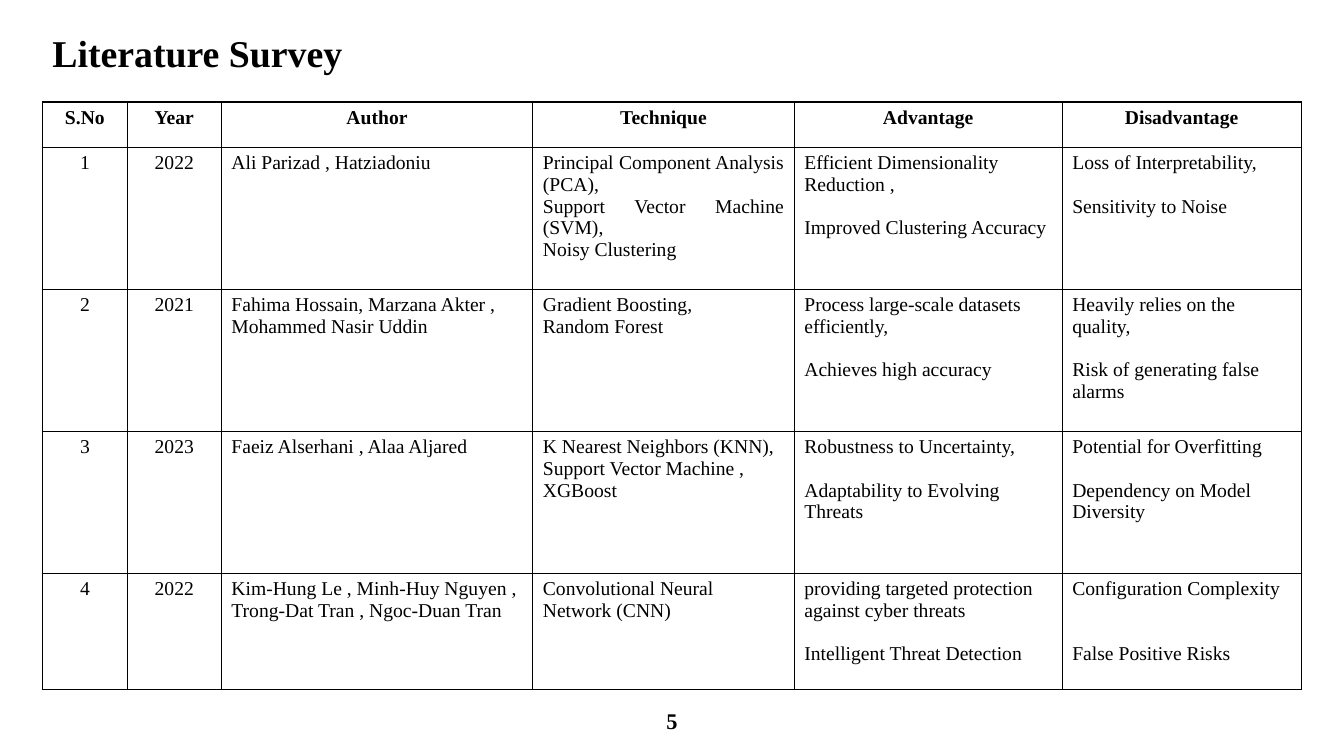
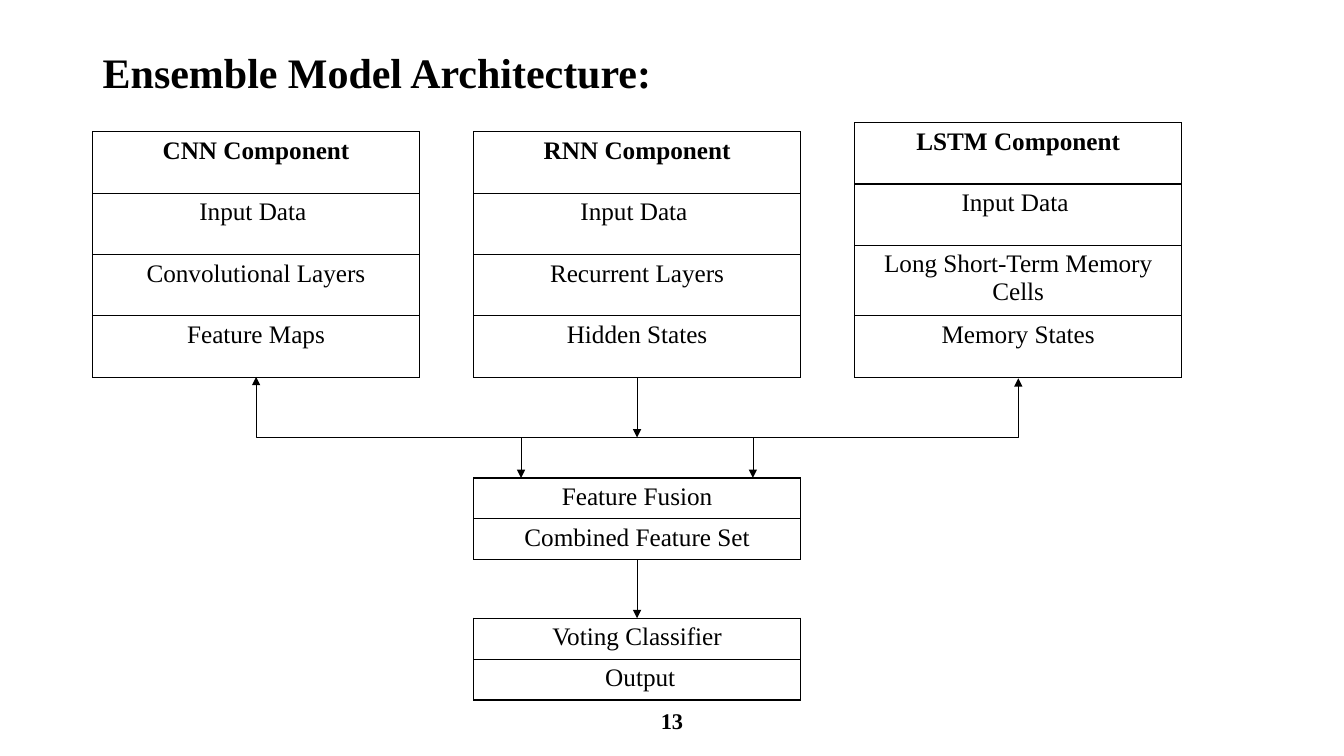
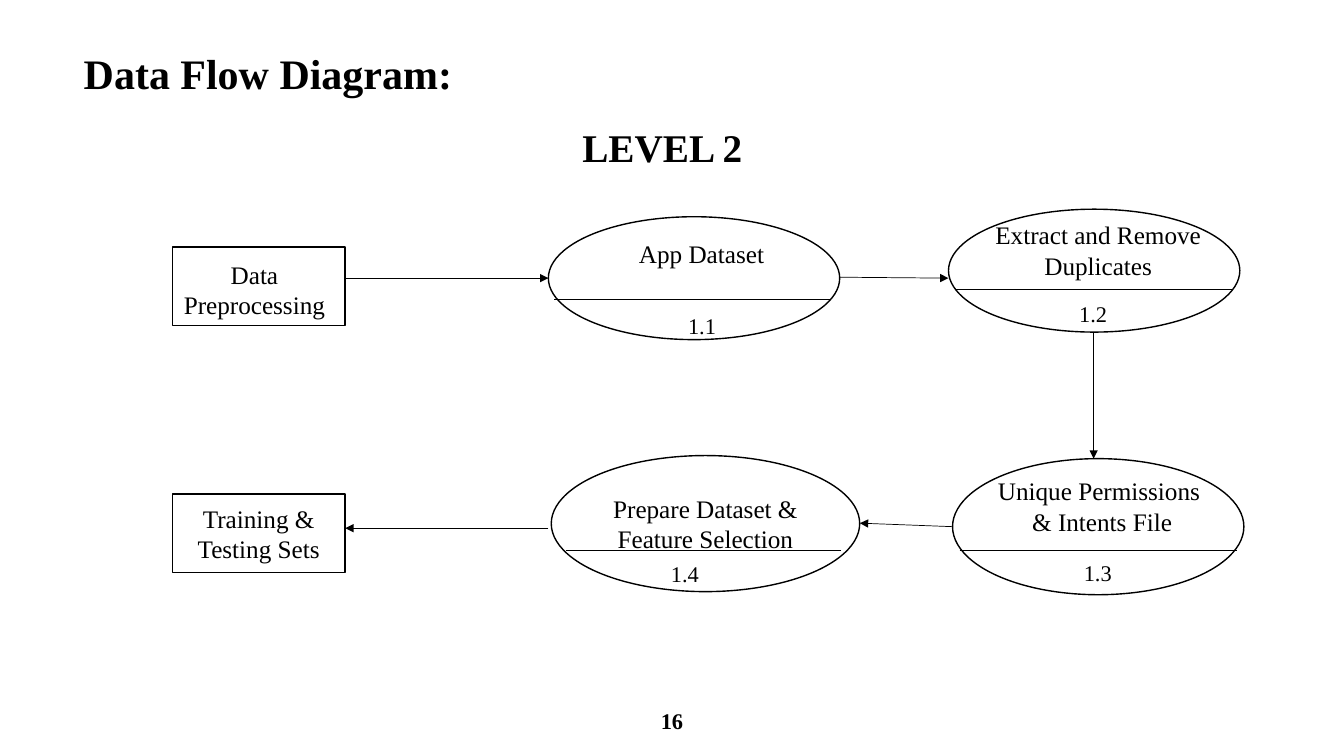
import dataclasses
import typing

import lxml.etree
import pptx
import pptx.dml.color
import pptx.enum.shapes
import pptx.enum.text
import pptx.oxml.ns
import pptx.shapes.connector
import pptx.shapes.graphfrm
import pptx.slide
import pptx.text.text
import pptx.util

ALIGN = pptx.enum.text.PP_ALIGN
ANCHOR = pptx.enum.text.MSO_ANCHOR
SHAPE = pptx.enum.shapes.MSO_SHAPE
CONNECTOR = pptx.enum.shapes.MSO_CONNECTOR
TOP, BOTTOM = 0, 2


@dataclasses.dataclass(frozen=True)
class Theme:
    font: str = "Times New Roman"
    ink: str = "000000"
    paper: str = "FFFFFF"
    survey_title: float = 27
    title: float = 30
    heading: float = 28
    label: float = 18
    number: float = 16
    survey: float = 14
    survey_line: float = 15.5
    title_spacing: float = 0.9
    outline: float = 1
    arrow: float = 0.5


THEME = Theme()


class Frame(typing.NamedTuple):
    left: float
    top: float
    width: float
    height: float

    def lengths(self) -> list[int]:
        return [pptx.util.Pt(value) for value in self]


class Point(typing.NamedTuple):
    x: float
    y: float


@dataclasses.dataclass(frozen=True)
class Text:
    paragraphs: tuple[str, ...]
    size: float
    bold: bool = False
    align: typing.Any = ALIGN.CENTER
    gap: float = 0
    spacing: typing.Optional[float] = None


@dataclasses.dataclass(frozen=True)
class Arrow:
    start: Point
    end: Point
    head: bool = True


@dataclasses.dataclass(frozen=True)
class Process:
    oval: Frame
    label_frame: typing.Optional[Frame]
    label: tuple[str, ...]
    number_frame: Frame
    number: str
    divider: Arrow


@dataclasses.dataclass(frozen=True)
class Stack:
    left: float
    top: float
    row_height: float
    rows: tuple[str, ...]
    header: bool = False


def color(value: str) -> pptx.dml.color.RGBColor:
    return pptx.dml.color.RGBColor.from_string(value)


def apply(target: typing.Any, values: dict[str, typing.Any]) -> None:
    for name, value in values.items():
        setattr(target, name, value)


def write(text_frame: pptx.text.text.TextFrame, text: Text) -> None:
    for index, content in enumerate(text.paragraphs):
        paragraph = text_frame.add_paragraph() if index else text_frame.paragraphs[0]
        apply(paragraph, {"alignment": text.align, "line_spacing": text.spacing})
        paragraph.space_before = pptx.util.Pt(text.gap if index else 0)
        run = paragraph.add_run()
        run.text = content
        apply(run.font, {
            "name": THEME.font,
            "size": pptx.util.Pt(text.size),
            "bold": text.bold,
        })
        run.font.color.rgb = color(THEME.ink)


def add_text(slide: pptx.slide.Slide, frame: Frame, text: Text,
             anchor: typing.Any = ANCHOR.TOP) -> None:
    shape = slide.shapes.add_textbox(*frame.lengths())
    apply(shape.text_frame, {"word_wrap": True, "vertical_anchor": anchor})
    write(shape.text_frame, text)


def add_slide(presentation: typing.Any, title: str, frame: Frame, size: float,
              page: int) -> pptx.slide.Slide:
    slide = presentation.slides.add_slide(presentation.slide_layouts[5])
    shape = slide.shapes.title
    apply(shape, dict(zip(Frame._fields, frame.lengths())))
    apply(shape.text_frame, {
        "word_wrap": True,
        "auto_size": pptx.enum.text.MSO_AUTO_SIZE.NONE,
        "vertical_anchor": ANCHOR.MIDDLE,
    })
    write(shape.text_frame, Text((title,), size, True, ALIGN.LEFT,
                                 spacing=THEME.title_spacing))
    add_text(slide, Frame(318, 500.5, 324, 28.8),
             Text((str(page),), THEME.number, True), ANCHOR.MIDDLE)
    return slide


def add_outlined(slide: pptx.slide.Slide, kind: typing.Any, frame: Frame,
                 text: typing.Optional[Text] = None) -> None:
    shape = slide.shapes.add_shape(kind, *frame.lengths())
    shape.shadow.inherit = False
    shape.fill.solid()
    shape.fill.fore_color.rgb = color(THEME.paper)
    shape.line.color.rgb = color(THEME.ink)
    shape.line.width = pptx.util.Pt(THEME.outline)
    if text:
        apply(shape.text_frame, {"word_wrap": True, "vertical_anchor": ANCHOR.MIDDLE})
        write(shape.text_frame, text)


def style_connector(connector: pptx.shapes.connector.Connector,
                    ends: tuple[str, ...]) -> None:
    connector.line.color.rgb = color(THEME.ink)
    connector.line.width = pptx.util.Pt(THEME.arrow)
    outline = connector.line._get_or_add_ln()
    for end in ends:
        lxml.etree.SubElement(outline, pptx.oxml.ns.qn(f"a:{end}"), type="triangle")
    lxml.etree.SubElement(connector._element.spPr, pptx.oxml.ns.qn("a:effectLst"))


def add_arrow(slide: pptx.slide.Slide, arrow: Arrow) -> pptx.shapes.connector.Connector:
    connector = slide.shapes.add_connector(
        CONNECTOR.STRAIGHT,
        *(pptx.util.Pt(value) for value in (*arrow.start, *arrow.end)))
    style_connector(connector, ("tailEnd",) if arrow.head else ())
    return connector


def add_bracket(slide: pptx.slide.Slide, start: Point, end: Point, rail: float) -> None:
    span, rise = end.x - start.x, end.y - start.y
    center = Point((start.x + end.x) / 2, (start.y + end.y) / 2)
    connector = slide.shapes.add_connector(CONNECTOR.ELBOW, 0, 0, 0, 0)
    frame = Frame(center.x - rise / 2, center.y - span / 2, rise, span)
    apply(connector, dict(zip(Frame._fields, frame.lengths())))
    properties = connector._element.spPr
    transform = properties.find(pptx.oxml.ns.qn("a:xfrm"))
    transform.set("rot", "16200000")
    transform.set("flipH", "1")
    geometry = properties.find(pptx.oxml.ns.qn("a:prstGeom"))
    adjustments = geometry.find(pptx.oxml.ns.qn("a:avLst"))
    if adjustments is None:
        adjustments = lxml.etree.SubElement(geometry, pptx.oxml.ns.qn("a:avLst"))
    ratio = round((rail - start.y) / rise * 100000)
    lxml.etree.SubElement(adjustments, pptx.oxml.ns.qn("a:gd"),
                          name="adj1", fmla=f"val {ratio}")
    style_connector(connector, ("headEnd", "tailEnd"))


def style_cell(cell: typing.Any, text: Text) -> None:
    write(cell.text_frame, text)
    cell.fill.solid()
    cell.fill.fore_color.rgb = color(THEME.paper)
    properties = cell._tc.get_or_add_tcPr()
    for index, side in enumerate(("lnL", "lnR", "lnT", "lnB")):
        border = lxml.etree.Element(pptx.oxml.ns.qn(f"a:{side}"),
                                    w=str(pptx.util.Pt(THEME.outline)))
        fill = lxml.etree.SubElement(border, pptx.oxml.ns.qn("a:solidFill"))
        lxml.etree.SubElement(fill, pptx.oxml.ns.qn("a:srgbClr"), val=THEME.ink)
        properties.insert(index, border)


def add_grid(slide: pptx.slide.Slide, corner: Point, widths: typing.Sequence[float],
             heights: typing.Sequence[float], rows: typing.Sequence[typing.Sequence[Text]]
             ) -> pptx.shapes.graphfrm.GraphicFrame:
    frame = Frame(*corner, sum(widths), sum(heights))
    graphic = slide.shapes.add_table(len(heights), len(widths), *frame.lengths())
    table = graphic.table
    apply(table, {"first_row": False, "horz_banding": False})
    for column, width in zip(table.columns, widths):
        column.width = pptx.util.Pt(width)
    for row, height, texts in zip(table.rows, heights, rows):
        row.height = pptx.util.Pt(height)
        for cell, text in zip(row.cells, texts):
            style_cell(cell, text)
    return graphic


def survey_text(*paragraphs: str, align: typing.Any = ALIGN.LEFT,
                blank_lines: int = 0, bold: bool = False) -> Text:
    return Text(paragraphs, THEME.survey, bold, align, blank_lines * THEME.survey_line)


def survey_row(number: int, year: int, author: Text, technique: Text,
               advantage: tuple[str, str], disadvantage: tuple[str, str],
               disadvantage_gap: int = 1) -> list[Text]:
    return [
        survey_text(str(number), align=ALIGN.CENTER),
        survey_text(str(year), align=ALIGN.CENTER),
        author,
        technique,
        survey_text(*advantage, blank_lines=1),
        survey_text(*disadvantage, blank_lines=disadvantage_gap),
    ]


def build_survey(presentation: typing.Any) -> None:
    slide = add_slide(presentation, "Literature Survey", Frame(30.2, 23.8, 828, 31.7),
                      THEME.survey_title, 5)
    headings = ("S.No", "Year", "Author", "Technique", "Advantage", "Disadvantage")
    rows = [
        [survey_text(heading, align=ALIGN.CENTER, bold=True) for heading in headings],
        survey_row(1, 2022, survey_text("Ali Parizad , Hatziadoniu"),
                   survey_text("Principal Component Analysis (PCA),",
                               "Support Vector Machine (SVM), ", "Noisy Clustering",
                               align=ALIGN.JUSTIFY),
                   ("Efficient Dimensionality Reduction ,", "Improved Clustering Accuracy"),
                   ("Loss of Interpretability,", "Sensitivity to Noise")),
        survey_row(2, 2021,
                   survey_text("Fahima Hossain, Marzana Akter ,", "Mohammed Nasir Uddin"),
                   survey_text("Gradient Boosting,", "Random Forest", align=ALIGN.JUSTIFY),
                   ("Process large-scale datasets efficiently,", "Achieves high accuracy"),
                   ("Heavily relies on the quality,", "Risk of generating false alarms")),
        survey_row(3, 2023, survey_text("Faeiz Alserhani , Alaa Aljared"),
                   survey_text("K Nearest Neighbors (KNN), Support Vector Machine ,",
                               "XGBoost"),
                   ("Robustness to Uncertainty,", "Adaptability to Evolving Threats"),
                   ("Potential for Overfitting", "Dependency on Model Diversity")),
        survey_row(4, 2022,
                   survey_text("Kim-Hung Le , Minh-Huy Nguyen , "
                               "Trong-Dat Tran , Ngoc-Duan Tran"),
                   survey_text("Convolutional Neural Network (CNN)"),
                   ("providing targeted protection against cyber threats",
                    "Intelligent Threat Detection"),
                   ("Configuration Complexity", "False Positive Risks"), 2),
    ]
    add_grid(slide, Point(30.3, 72.8), (60.7, 67.1, 222.5, 186.8, 191.4, 170.7),
             (32.5, 101.4, 101.4, 101.4, 82.9), rows)


def build_architecture(presentation: typing.Any) -> None:
    slide = add_slide(presentation, "Ensemble Model Architecture:",
                      Frame(66.2, 28.8, 438.5, 49.7), THEME.title, 13)
    width, step, left, rail, fusion_top = 233.4, 272.2, 66.2, 312.5, 341.4
    lefts = [left + step * index for index in range(3)]
    centers = [value + width / 2 for value in lefts]
    stacks = (
        Stack(lefts[0], 94.2, 43.8,
              ("CNN Component", "Input Data ", "Convolutional Layers", "Feature Maps"), True),
        Stack(lefts[1], 94.2, 43.8,
              ("RNN Component", "Input Data ", "Recurrent Layers", "Hidden States"), True),
        Stack(lefts[2], 87.6, 43.8,
              ("LSTM Component", "Input Data ", "Long Short-Term Memory Cells",
               "Memory States"), True),
        Stack(lefts[1], fusion_top, 29.2, ("Feature Fusion", "Combined Feature Set")),
        Stack(lefts[1], 441.6, 29.2, ("Voting Classifier", " Output")),
    )
    graphics = [
        add_grid(slide, Point(stack.left, stack.top), (width,),
                 [stack.row_height] * len(stack.rows),
                 [[Text((row,), THEME.label, stack.header and index == 0)]
                  for index, row in enumerate(stack.rows)])
        for stack in stacks
    ]
    recurrent, fusion, voting = graphics[1], graphics[3], graphics[4]
    add_bracket(slide, Point(centers[0], 269.2), Point(centers[2], 270.2), rail)
    down = add_arrow(slide, Arrow(Point(centers[1], 269.4), Point(centers[1], rail)))
    down.begin_connect(recurrent, BOTTOM)
    for x in (372.2, 537.8):
        add_arrow(slide, Arrow(Point(x, rail), Point(x, fusion_top)))
    vote = add_arrow(slide, Arrow(Point(centers[1], 399.8), Point(centers[1], 441.6)))
    vote.begin_connect(fusion, BOTTOM)
    vote.end_connect(voting, TOP)


def build_data_flow(presentation: typing.Any) -> None:
    slide = add_slide(presentation, "Data Flow Diagram:",
                      Frame(52.6, 25.2, 320.4, 57.6), THEME.title, 16)
    add_text(slide, Frame(52.6, 88.6, 841, 40),
             Text(("LEVEL 2",), THEME.heading, True, spacing=THEME.title_spacing))
    processes = (
        Process(Frame(391.7, 154.8, 208.1, 87.8), Frame(421.2, 167, 159.8, 28.8),
                ("App Dataset",), Frame(466.6, 219.6, 69.8, 26.6), "1.1",
                Arrow(Point(396, 213.8), Point(593.3, 213.8), False)),
        Process(Frame(677.5, 149.4, 208.1, 87.8), Frame(697.7, 153.4, 173.5, 51.1),
                ("Extract and Remove Duplicates",), Frame(761, 211, 39.6, 26.6), "1.2",
                Arrow(Point(682.6, 206.6), Point(880.6, 206.6), False)),
        Process(Frame(680.4, 327.6, 208.1, 97.2), Frame(680.4, 336.2, 213.8, 51.1),
                ("Unique Permissions ", "& Intents File"),
                Frame(751, 396, 66.2, 26.6), "1.3",
                Arrow(Point(685.4, 393.1), Point(883.4, 393.1), False)),
        Process(Frame(393.8, 325.4, 220.3, 97.2), None,
                ("Prepare Dataset & Feature Selection",),
                Frame(467.3, 396.7, 43.9, 26.6), "1.4",
                Arrow(Point(404.6, 393.1), Point(600.5, 393.1), False)),
    )
    for process in processes:
        label = Text(process.label, THEME.label)
        if process.label_frame:
            add_outlined(slide, SHAPE.OVAL, process.oval)
            add_text(slide, process.label_frame, label)
        else:
            add_outlined(slide, SHAPE.OVAL, process.oval, label)
        add_arrow(slide, process.divider)
        add_text(slide, process.number_frame, Text((process.number,), THEME.number))
    add_outlined(slide, SHAPE.RECTANGLE, Frame(123.1, 176.4, 123.4, 56.2))
    add_text(slide, Frame(110.9, 181.4, 141.8, 51.1),
             Text(("Data Preprocessing",), THEME.label))
    add_outlined(slide, SHAPE.RECTANGLE, Frame(123.1, 352.8, 123.4, 56.2),
                 Text(("Training & Testing Sets",), THEME.label))
    for arrow in (
        Arrow(Point(246.6, 198.7), Point(391.7, 198.7)),
        Arrow(Point(599.8, 198), Point(677.5, 198.7)),
        Arrow(Point(781.2, 237.6), Point(781.2, 327.6)),
        Arrow(Point(680.4, 376.2), Point(614.2, 373.7)),
        Arrow(Point(391.7, 377.3), Point(246.6, 377.3)),
    ):
        add_arrow(slide, arrow)


def main() -> None:
    presentation = pptx.Presentation()
    apply(presentation, {"slide_width": pptx.util.Pt(960),
                         "slide_height": pptx.util.Pt(540)})
    build_survey(presentation)
    build_architecture(presentation)
    build_data_flow(presentation)
    presentation.save("out.pptx")


if __name__ == "__main__":
    main()
